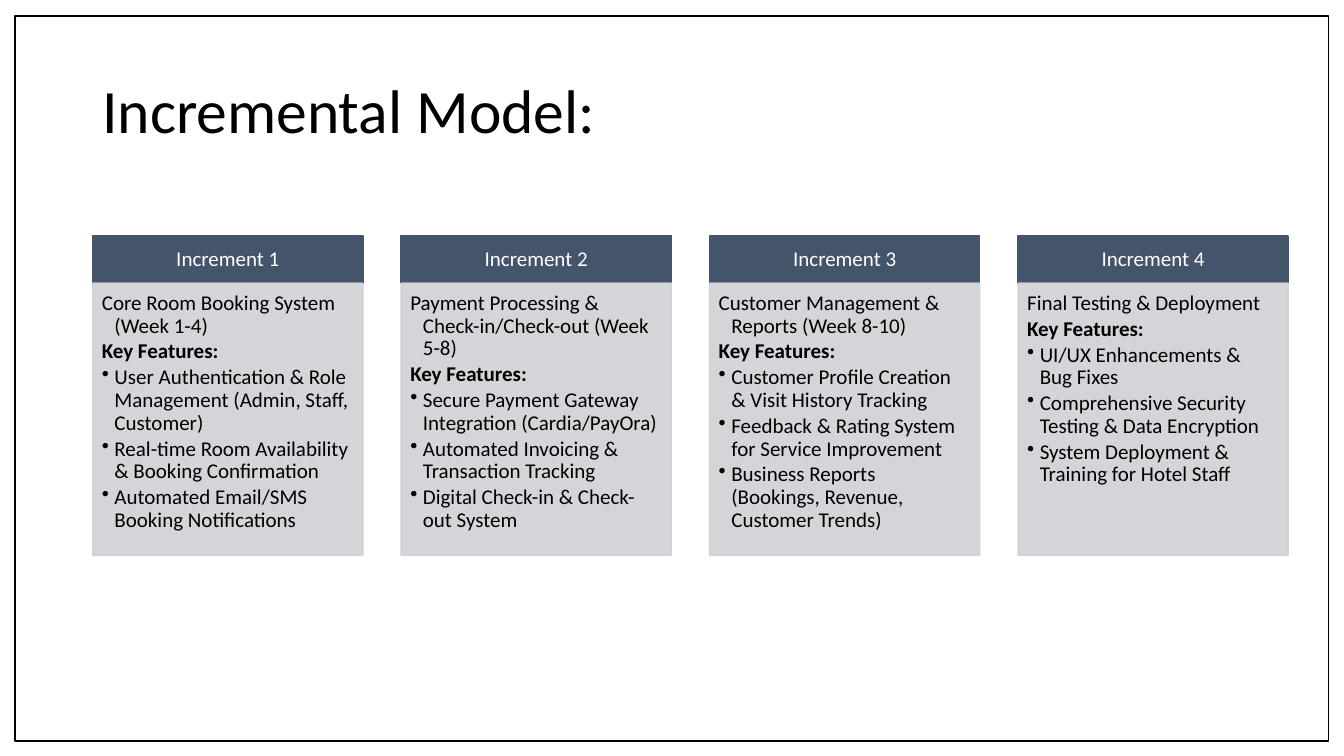
from lxml import etree
from pptx import Presentation
from pptx import util as u
from pptx.dml.color import RGBColor
from pptx.enum import shapes, text
from pptx.oxml import ns

INCREMENTS = [
    ("Core Room Booking System (Week 1-4)", [
        "User Authentication & Role Management (Admin, Staff, Customer)",
        "Real-time Room Availability & Booking Confirmation",
        "Automated Email/SMS Booking Notifications"]),
    ("Payment Processing & Check-in/Check-out (Week 5-8)", [
        "Secure Payment Gateway Integration (Cardia/PayOra)",
        "Automated Invoicing & Transaction Tracking",
        "Digital Check-in & Check-out System"]),
    ("Customer Management & Reports (Week 8-10)", [
        "Customer Profile Creation & Visit History Tracking",
        "Feedback & Rating System for Service Improvement",
        "Business Reports (Bookings, Revenue, Customer Trends)"]),
    ("Final Testing & Deployment", [
        "UI/UX Enhancements & Bug Fixes",
        "Comprehensive Security Testing & Data Encryption",
        "System Deployment & Training for Hotel Staff"]),
]
COLUMN_LEFT, COLUMN_STEP, COLUMN_WIDTH = 66.24, 220.32, 192.96
HEADER_TOP, HEADER_HEIGHT, DETAILS_HEIGHT = 168.48, 33.84, 194.4


def color(hex_code):
    return RGBColor.from_string(hex_code)


def apply(target, values):
    for name, value in values.items():
        setattr(target, name, value)


class IncrementSlide:
    font = "Calibri"
    hanging = 9

    def __init__(self, slide):
        self.slide = slide

    def panel(self, box, fill, line, opacity=100):
        """Draw a rectangle whose fill and outline share one opacity in percent."""
        panel = self.slide.shapes.add_shape(
            shapes.MSO_SHAPE.RECTANGLE, *map(u.Pt, box))
        panel.shadow.inherit = False
        panel.fill.solid()
        panel.fill.fore_color.rgb = color(fill)
        panel.line.color.rgb = color(line)
        panel.line.width = u.Pt(1)
        if opacity < 100:
            for tint in panel._element.spPr.iter(ns.qn("a:srgbClr")):
                etree.SubElement(tint, ns.qn("a:alpha"), val=str(opacity * 1000))
        return panel

    def frame(self, shape, anchor, insets):
        frame = shape.text_frame
        sides = ("margin_left", "margin_top", "margin_right", "margin_bottom")
        apply(frame, {"word_wrap": True, "vertical_anchor": anchor,
                      **dict(zip(sides, map(u.Pt, insets)))})
        return frame

    def paragraph(self, paragraph, wording, size=15, ink="000000", bold=False,
                  align=text.PP_ALIGN.LEFT, after=0):
        apply(paragraph, {"alignment": align, "line_spacing": 0.9,
                          "space_before": u.Pt(0), "space_after": u.Pt(after)})
        run = paragraph.add_run()
        run.text = wording
        apply(run.font, {"name": self.font, "size": u.Pt(size), "bold": bold})
        run.font.color.rgb = color(ink)

    def hang(self, paragraph, bullet):
        """Indent all lines but the first, with a bullet if asked."""
        props = paragraph._p.get_or_add_pPr()
        props.set("marL", str(u.Pt(self.hanging)))
        props.set("indent", str(-u.Pt(self.hanging)))
        if bullet:
            etree.SubElement(props, ns.qn("a:buChar"), char="•")

    def title(self, box, wording):
        title = self.slide.shapes.add_textbox(*map(u.Pt, box))
        frame = self.frame(title, text.MSO_ANCHOR.MIDDLE, (7.2, 3.6, 7.2, 3.6))
        self.paragraph(frame.paragraphs[0], wording, size=44)

    def header(self, box, wording):
        header = self.panel(box, "44546A", "44546A")
        frame = self.frame(header, text.MSO_ANCHOR.MIDDLE, (8.64, 5.04, 8.64, 5.04))
        self.paragraph(frame.paragraphs[0], wording, ink="FFFFFF",
                       align=text.PP_ALIGN.CENTER)

    def details(self, box, scope, features):
        details = self.panel(box, "CFD1D4", "CFD1D4", opacity=90)
        frame = self.frame(details, text.MSO_ANCHOR.TOP, (6.48, 6.48, 8.64, 9.36))
        for index, wording in enumerate([scope, "Key Features:", *features]):
            paragraph = frame.add_paragraph() if index else frame.paragraphs[0]
            self.paragraph(paragraph, wording, bold=index == 1, after=2.25)
            self.hang(paragraph, bullet=index > 1)


def main():
    deck = Presentation()
    deck.slide_width, deck.slide_height = u.Pt(960), u.Pt(540)
    model = IncrementSlide(deck.slides.add_slide(deck.slide_layouts[6]))
    model.panel((10.8, 11.52, 938.16, 517.68), "FFFFFF", "000000")
    model.title((66, 28.8, 828, 104.4), "Incremental Model:")
    for index, (scope, features) in enumerate(INCREMENTS):
        left = COLUMN_LEFT + index * COLUMN_STEP
        model.header((left, HEADER_TOP, COLUMN_WIDTH, HEADER_HEIGHT),
                     f"Increment {index + 1}")
        model.details((left, HEADER_TOP + HEADER_HEIGHT, COLUMN_WIDTH, DETAILS_HEIGHT),
                      scope, features)
    deck.save("out.pptx")


if __name__ == "__main__":
    main()
